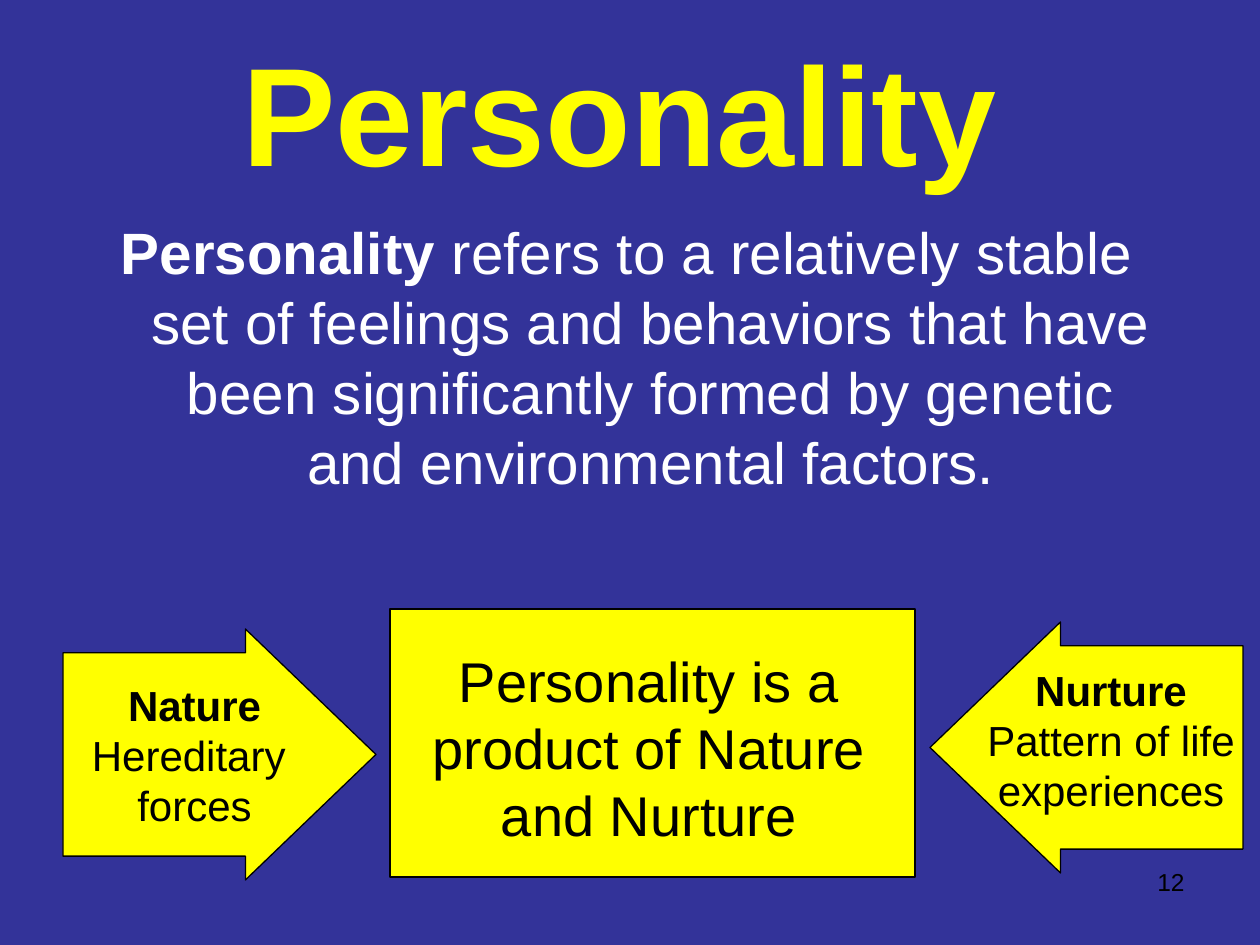
from pptx import Presentation
from pptx.dml.color import RGBColor
from pptx.enum.shapes import MSO_SHAPE as Preset
from pptx.enum.text import MSO_ANCHOR as Anchor, PP_ALIGN as Align
from pptx.util import Pt

BLUE = RGBColor(0x33, 0x33, 0x99)
YELLOW = RGBColor(0xFF, 0xFF, 0x00)
WHITE = RGBColor(0xFF, 0xFF, 0xFF)
BLACK = RGBColor(0x00, 0x00, 0x00)
SCALE = 914400 / 126


def px(*lengths):
    return [round(length * SCALE) for length in lengths]


def write(shape, paragraphs, size, color, align=Align.CENTER, anchor=Anchor.TOP, wrap=True):
    frame = shape.text_frame
    frame.word_wrap = wrap
    frame.vertical_anchor = anchor
    for index, runs in enumerate(paragraphs):
        paragraph = frame.add_paragraph() if index else frame.paragraphs[0]
        paragraph.alignment = align
        for text, bold in runs:
            run = paragraph.add_run()
            run.text = text
            formats = {"name": "Arial", "size": Pt(size), "bold": bold}
            for name, value in formats.items():
                setattr(run.font, name, value)
            run.font.color.rgb = color


presentation = Presentation()
presentation.slide_width, presentation.slide_height = px(1260, 945)
slide = presentation.slides.add_slide(presentation.slide_layouts[5])
slide.background.fill.solid()
slide.background.fill.fore_color.rgb = BLUE
shapes = slide.shapes

title = shapes.title
title.left, title.top, title.width, title.height = px(53, 32, 1134, 157)
write(title, [[("Personality", True)]], 80, YELLOW, anchor=Anchor.MIDDLE)

definition = shapes.add_textbox(*px(73, 210, 1108, 349))
write(definition, [[
    ("Personality ", True),
    ("refers to a relatively stable set of feelings and behaviors that have been "
     "significantly formed by genetic and environmental factors.", False),
]], 33.3, WHITE)
properties = definition.text_frame.paragraphs[0]._p.get_or_add_pPr()
indent = px(48)[0]
properties.set("marL", str(indent))
properties.set("indent", str(-indent))

blocks = [
    (Preset.RECTANGLE, (390, 609, 525, 268)),
    (Preset.RIGHT_ARROW, (63, 629, 313, 251)),
    (Preset.LEFT_ARROW, (930, 622, 313, 251)),
]
for preset, box in blocks:
    block = shapes.add_shape(preset, *px(*box))
    block.shadow.inherit = False
    block.fill.solid()
    block.fill.fore_color.rgb = YELLOW
    block.line.color.rgb = BLACK
    block.line.width = Pt(0.75)
    if preset != Preset.RECTANGLE:
        block.adjustments[0], block.adjustments[1] = 0.81, 0.52

labels = [
    ((402, 640, 494, 214), 32, True,
     [[("Personality is a product of Nature and Nurture", False)]]),
    ((79, 673, 231, 164), 24, False,
     [[("Nature", True)], [("Hereditary ", False)], [("forces", False)]]),
    ((964, 658, 294, 164), 24, True,
     [[("Nurture", True)], [("Pattern of life experiences", False)]]),
]
for box, size, wrap, paragraphs in labels:
    write(shapes.add_textbox(*px(*box)), paragraphs, size, BLACK, wrap=wrap)

number = shapes.add_textbox(*px(903, 861, 294, 66))
write(number, [[("12", False)]], 14, BLACK, align=Align.RIGHT)

presentation.save("out.pptx")
